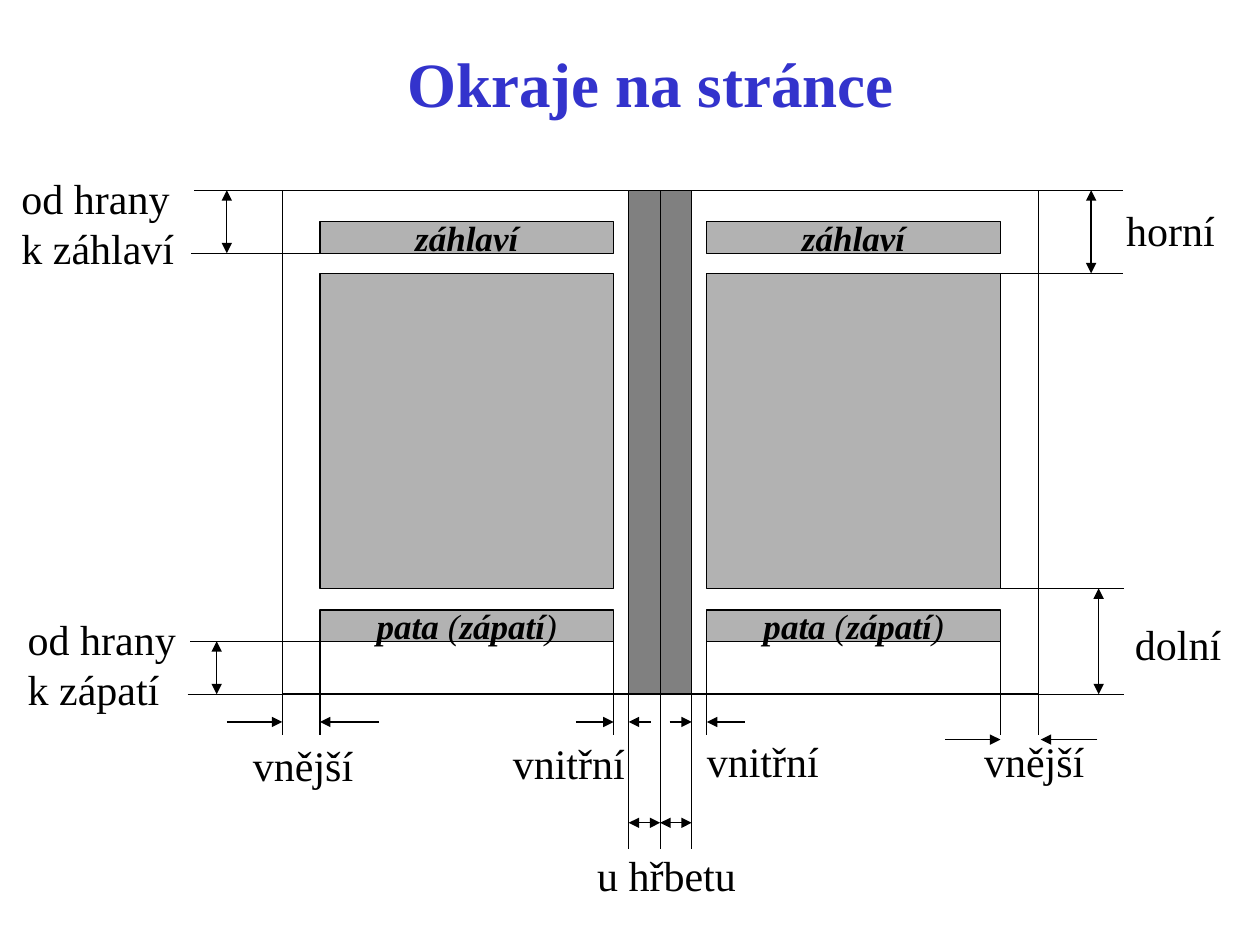
import pptx
import pptx.util
import pptx.dml.color
import pptx.enum.shapes
import pptx.enum.text
import pptx.oxml.ns
from lxml import etree

FONT = "Times New Roman"
CELL = 0.25  # inches; the slide is 40 columns by 30 rows
SPREAD = (8.96, 6.04)  # column and row of the spread's top left corner
COLUMNS, ROWS = 24, 16  # size of the spread
SPINE, GUTTER = COLUMNS / 2, 1
OUTER, INNER = 1.2, 0.48
HEADER, BODY, FOOTER = (1, 2), (2.64, 12.64), (13.32, 14.32)
TEXT_LEFT = (OUTER, SPINE - GUTTER - INNER)
TEXT_RIGHT = (COLUMNS - TEXT_LEFT[1], COLUMNS - OUTER)
ALIGN = pptx.enum.text.PP_ALIGN
MIDDLE = pptx.enum.text.MSO_ANCHOR.MIDDLE


def colour(code):
    return pptx.dml.color.RGBColor.from_string(code)


def cells(count):
    return pptx.util.Inches(round(count * CELL, 3))


def place(column, row):
    """Turn a grid point of the spread into slide lengths."""
    return cells(SPREAD[0] + column), cells(SPREAD[1] + row)


def apply(target, values):
    for name, value in values.items():
        setattr(target, name, value)


def write(para, pieces, size, code="000000", align=ALIGN.CENTER, italic=False):
    """Fill a paragraph with (text, bold) pieces."""
    para.alignment = align
    for text, bold in pieces:
        span = para.add_run()
        span.text = text
        apply(span.font, {"name": FONT, "size": pptx.util.Pt(size),
                          "bold": bold, "italic": italic})
        span.font.color.rgb = colour(code)


def draw_rect(page, across, down, fill, pieces=()):
    left, top = place(across[0], down[0])
    rect = page.shapes.add_shape(
        pptx.enum.shapes.MSO_SHAPE.RECTANGLE, left, top,
        cells(across[1] - across[0]), cells(down[1] - down[0]))
    rect.shadow.inherit = False
    rect.fill.solid()
    rect.fill.fore_color.rgb = colour(fill)
    rect.line.color.rgb = colour("000000")
    rect.line.width = pptx.util.Pt(0.75)
    if pieces:
        apply(rect.text_frame, {"word_wrap": False, "vertical_anchor": MIDDLE})
        write(rect.text_frame.paragraphs[0], pieces, 20, italic=True)


def draw_line(page, start, end, heads=()):
    """Draw a thin line; heads names the ends that carry an arrowhead."""
    line = page.shapes.add_connector(
        pptx.enum.shapes.MSO_CONNECTOR.STRAIGHT, *place(*start), *place(*end))
    line.line.color.rgb = colour("000000")
    line.line.width = pptx.util.Pt(0.75)
    outline = line.line._get_or_add_ln()
    for head in heads:
        etree.SubElement(outline, pptx.oxml.ns.qn("a:" + head), type="triangle")
    etree.SubElement(line._element.spPr, pptx.oxml.ns.qn("a:effectLst"))


def draw_label(page, text, column, row, width, height=1.6, align=ALIGN.LEFT):
    box = page.shapes.add_textbox(*place(column, row), cells(width), cells(height))
    apply(box.text_frame, {"word_wrap": True, "vertical_anchor": MIDDLE,
                           "margin_left": 0, "margin_right": 0,
                           "margin_top": 0, "margin_bottom": 0})
    write(box.text_frame.paragraphs[0], [(text, False)], 24, align=align)


def draw_title(page):
    title = page.shapes.title
    apply(title, {"left": cells(2), "top": cells(1.2),
                  "width": cells(37.32), "height": cells(2.8)})
    title.text_frame.vertical_anchor = MIDDLE
    write(title.text_frame.paragraphs[0], [("Okraje na stránce", True)], 36, "3333CC")


def draw_sheet(page, paper, gutter, text):
    """Draw one page of the spread from its column ranges."""
    footer = [("pata", True), (" (", False), ("zápatí", True), (")", False)]
    draw_rect(page, gutter, (0, ROWS), "808080")
    draw_rect(page, paper, (0, ROWS), "FFFFFF")
    draw_rect(page, text, HEADER, "B2B2B2", [("záhlaví", True)])
    draw_rect(page, text, BODY, "B2B2B2")
    draw_rect(page, text, FOOTER, "B2B2B2", footer)


def draw_height(page, rows, upper, lower, column):
    """Measure between two rows; upper and lower are the column ranges of the guides."""
    for row, (start, end) in zip(rows, (upper, lower)):
        draw_line(page, (start, row), (end, row))
    draw_line(page, (column, rows[0]), (column, rows[1]), ("headEnd", "tailEnd"))


def draw_heights(page):
    draw_height(page, (0, HEADER[1]), (-2.8, 0.88), (-2.88, OUTER), -1.76)
    draw_height(page, (FOOTER[1], ROWS), (-2.92, 1.32), (-3, 0.88), -2.08)
    draw_height(page, (0, BODY[0]), (21.68, 26.68), (21.32, 26.68), 25.68)
    draw_height(page, (BODY[1], ROWS), (19.4, 26.72), (20.08, 26.72), 25.92)
    draw_label(page, "od hrany k záhlaví", -8.28, -0.56, 5.28, 3.2)
    draw_label(page, "od hrany k zápatí", -8.08, 13.44, 5.44, 3.2)
    draw_label(page, "horní", 26.2, 0.44, 4, align=ALIGN.CENTER)
    draw_label(page, "dolní", 26.68, 13.6, 3.52, align=ALIGN.CENTER)


def draw_width(page, columns, tails, row):
    """Point at two columns from outside, with arrows of the given lengths."""
    for column, start in zip(columns, (columns[0] - tails[0], columns[1] + tails[1])):
        draw_line(page, (start, row), (column, row), ("tailEnd",))


def draw_widths(page):
    gutters = (SPINE - GUTTER, SPINE, SPINE + GUTTER)
    for column in (0, COLUMNS):
        draw_line(page, (column, 15.88), (column, 17.3))
    for column in TEXT_LEFT + TEXT_RIGHT:
        draw_line(page, (column, FOOTER[1]), (column, 17.3))
    for column in gutters:
        draw_line(page, (column, ROWS), (column, 20.92))
    for start, end in zip(gutters, gutters[1:]):
        draw_line(page, (start, 20.08), (end, 20.08), ("headEnd", "tailEnd"))
    draw_width(page, (0, OUTER), (1.76, 1.88), 16.88)
    draw_width(page, (TEXT_LEFT[1], gutters[0]), (1.2, 0.7), 16.88)
    draw_width(page, (gutters[2], TEXT_RIGHT[0]), (0.7, 1.2), 16.88)
    draw_width(page, (TEXT_RIGHT[1], COLUMNS + 0.08), (1.76, 1.8), 17.44)
    draw_label(page, "vnější", -1.76, 17.44, 4.84, align=ALIGN.CENTER)
    draw_label(page, "vnitřní", 7.32, 17.36, 3.68)
    draw_label(page, "vnitřní", TEXT_RIGHT[0], 17.32, 3.68)
    draw_label(page, "vnější", 22.28, 17.32, 3.68)
    draw_label(page, "u hřbetu", 9, 20.92, 6.4, align=ALIGN.CENTER)


def main():
    deck = pptx.Presentation()
    apply(deck, {"slide_width": cells(40), "slide_height": cells(30)})
    page = deck.slides.add_slide(deck.slide_layouts[5])
    draw_title(page)
    draw_sheet(page, (0, SPINE - GUTTER), (SPINE - GUTTER, SPINE), TEXT_LEFT)
    draw_sheet(page, (SPINE + GUTTER, COLUMNS), (SPINE, SPINE + GUTTER), TEXT_RIGHT)
    draw_heights(page)
    draw_widths(page)
    deck.save("out.pptx")


if __name__ == "__main__":
    main()
